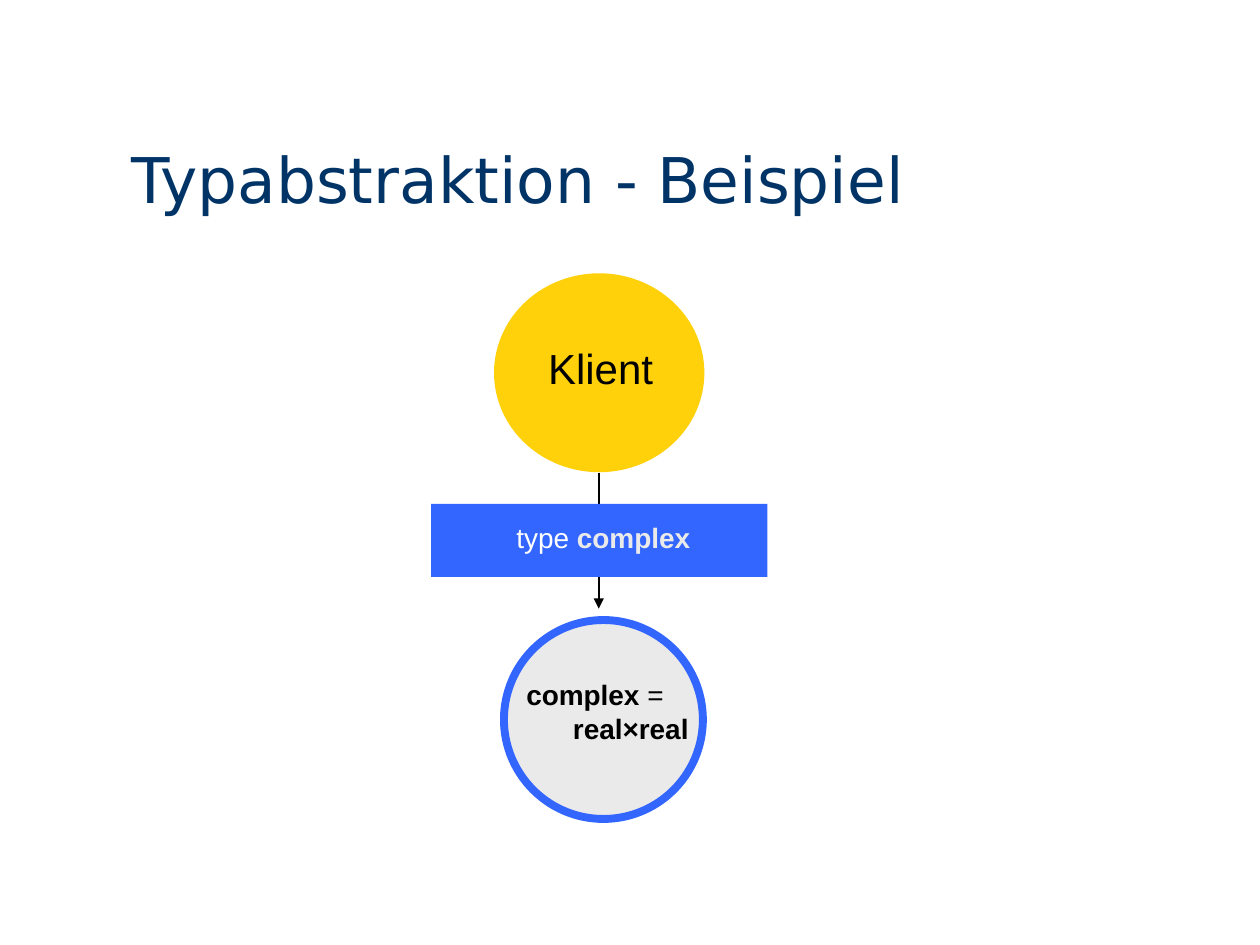
from lxml import etree
from pptx import Presentation, util as u
from pptx.dml.color import RGBColor
from pptx.enum import shapes, text
from pptx.oxml.ns import qn

Cm, Pt = u.Cm, u.Pt
hues = {
    "navy": "003366", "blue": "3366FF", "gold": "FFD10B",
    "grey": "EAEAEA", "black": "000000", "white": "FFFFFF",
}
rgb = {name: RGBColor.from_string(code) for name, code in hues.items()}

deck = Presentation()
deck.slide_width, deck.slide_height = Cm(25.4), Cm(19.05)
slide = deck.slides.add_slide(deck.slide_layouts[6])

arrow = slide.shapes.add_connector(
    shapes.MSO_CONNECTOR.STRAIGHT, Cm(12.07), Cm(9.53), Cm(12.07), Cm(12.27))
arrow.line.color.rgb = rgb["black"]
arrow.line.width = Pt(1.25)
etree.SubElement(arrow.line._get_or_add_ln(), qn("a:tailEnd"), type="triangle")
etree.SubElement(arrow._element.spPr, qn("a:effectLst"))

kind = shapes.MSO_SHAPE
forms = [
    (kind.RECTANGLE, (8.69, 10.16, 6.78, 1.47), "blue", None),
    (kind.OVAL, (10.16, 12.5, 4.01, 4.01), "grey", "blue"),
    (kind.OVAL, (9.96, 5.51, 4.24, 4.01), "gold", None),
]
for form, box, fill, edge in forms:
    shape = slide.shapes.add_shape(form, *map(Cm, box))
    shape.shadow.inherit = False
    shape.fill.solid()
    shape.fill.fore_color.rgb = rgb[fill]
    if edge:
        shape.line.color.rgb = rgb[edge]
        shape.line.width = Pt(4.5)
    else:
        shape.line.fill.background()

top, low = text.MSO_ANCHOR.TOP, text.MSO_ANCHOR.BOTTOM
labels = [
    ((2.41, 1.19, 22.68, 3.3), low, "DejaVu Sans", 36,
     [[("Typabstraktion - Beispiel", "navy", False)]]),
    ((10.36, 13.54, 5.08, 1.63), top, "Arial", 16,
     [[("complex ", "black", True), ("=", "black", False)],
      [("real×real", "black", True)]]),
    ((10.8, 6.78, 2.74, 1.27), top, "Arial", 24,
     [[("Klient", "black", False)]]),
    ((10.16, 10.36, 5.08, 0.94), top, "Arial", 16,
     [[("type ", "white", False), ("complex", "grey", True)]]),
]
for box, anchor, font, size, lines in labels:
    frame = slide.shapes.add_textbox(*map(Cm, box)).text_frame
    frame.word_wrap = True
    frame.vertical_anchor = anchor
    for row, line in enumerate(lines):
        para = frame.add_paragraph() if row else frame.paragraphs[0]
        if row:
            para._p.get_or_add_pPr().set("marL", str(Cm(0.94)))
        para.font.name, para.font.size = font, Pt(size)
        for words, hue, bold in line:
            run = para.add_run()
            run.text = words
            run.font.bold = bold
            run.font.color.rgb = rgb[hue]

deck.save("out.pptx")
